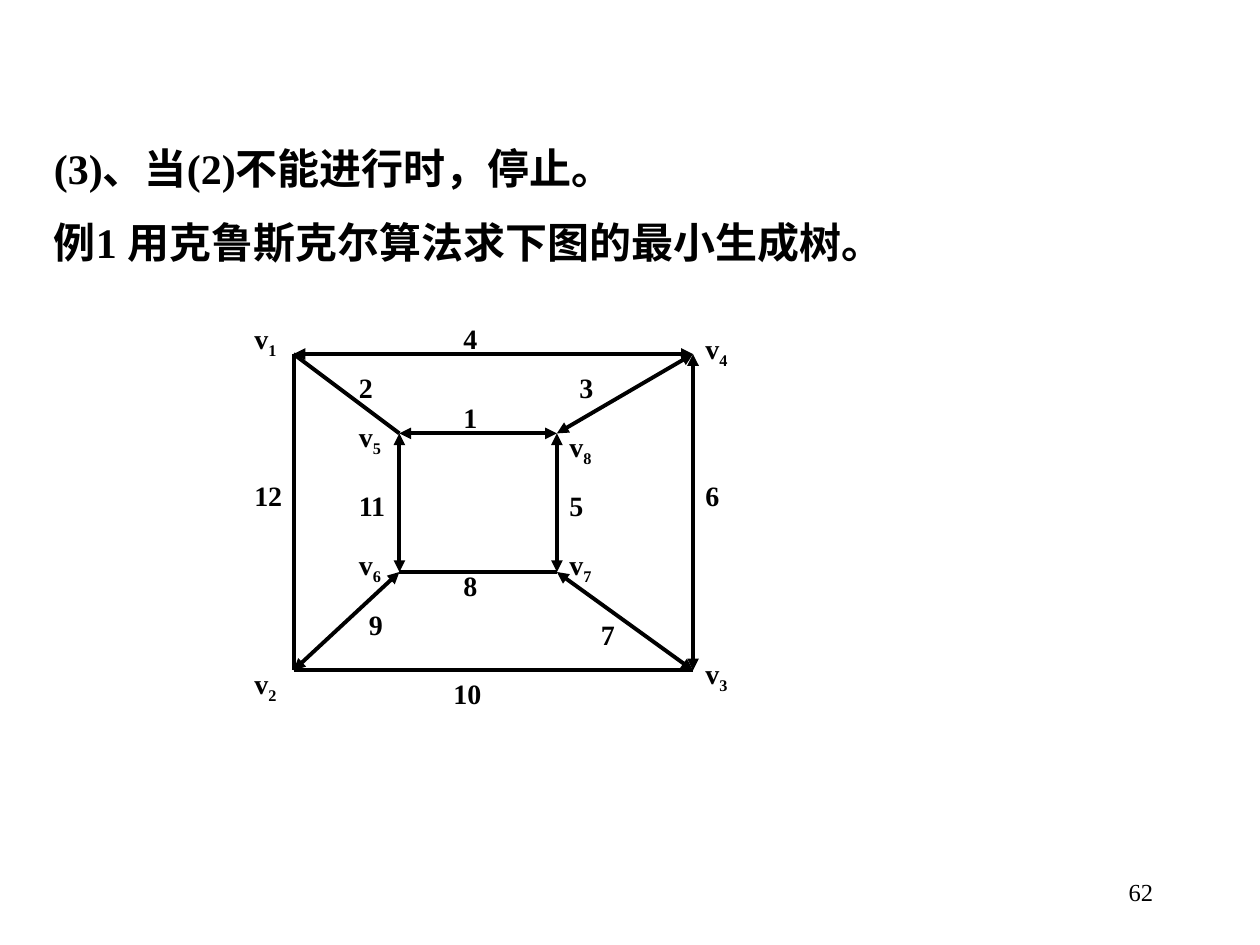
from lxml.etree import SubElement
from pptx import Presentation
from pptx.dml.color import RGBColor
from pptx.enum.shapes import MSO_CONNECTOR
from pptx.enum.text import MSO_ANCHOR, PP_ALIGN
from pptx.oxml.ns import qn
from pptx.util import Inches, Pt

BLACK = "000000"
NODES = {
    1: (0.41, 0.31), 2: (0.41, 2.82), 3: (3.58, 2.82), 4: (3.58, 0.31),
    5: (1.25, 0.94), 6: (1.25, 2.04), 7: (2.5, 2.04), 8: (2.5, 0.94),
}
NODE_LABELS = {
    1: (0, 0), 2: (0, 2.74), 3: (3.58, 2.66), 4: (3.58, 0.08),
    5: (0.83, 0.78), 6: (0.83, 1.8), 7: (2.5, 1.8), 8: (2.5, 0.86),
}
EDGES = [
    (2, 3, 10, (1.58, 2.82), False), (5, 6, 11, (0.83, 1.33), True),
    (6, 7, 8, (1.66, 1.96), False), (5, 8, 1, (1.66, 0.63), True),
    (8, 7, 5, (2.5, 1.33), True), (1, 4, 4, (1.66, 0), True),
    (1, 2, 12, (0, 1.25), False), (4, 3, 6, (3.58, 1.25), True),
    (1, 5, 2, (0.83, 0.39), False), (4, 8, 3, (2.58, 0.39), True),
    (6, 2, 9, (0.91, 2.27), True), (7, 3, 7, (2.75, 2.35), True),
]


def color(value):
    return RGBColor.from_string(value)


def add_text(slide, text, left, top, width, height, size=16, bold=True,
             subscript="", align=PP_ALIGN.LEFT, anchor=MSO_ANCHOR.TOP):
    shape = slide.shapes.add_textbox(
        Inches(left), Inches(top), Inches(width), Inches(height))
    frame = shape.text_frame
    frame.word_wrap = True
    frame.vertical_anchor = anchor
    paragraph = frame.paragraphs[0]
    paragraph.alignment = align
    for part in filter(None, (text, subscript)):
        run = paragraph.add_run()
        run.text = part
        run.font.name = "Times New Roman"
        run.font.size = Pt(size)
        run.font.bold = bold
        run.font.color.rgb = color(BLACK)
    if subscript:
        run.font._element.set("baseline", "-25000")


def add_edge(slide, start, end, arrows):
    connector = slide.shapes.add_connector(
        MSO_CONNECTOR.STRAIGHT, *(Inches(value) for value in (*start, *end)))
    connector.line.color.rgb = color(BLACK)
    connector.line.width = Pt(2.25)
    if arrows:
        line = connector.line._get_or_add_ln()
        for tag in ("a:headEnd", "a:tailEnd"):
            SubElement(line, qn(tag), type="triangle")
    SubElement(connector._element.spPr, qn("a:effectLst"))


def add_statements(slide, left, top, width):
    lines = ["(3)、当(2)不能进行时，停止。", "例1 用克鲁斯克尔算法求下图的最小生成树。"]
    for row, text in enumerate(lines):
        add_text(slide, text, left, top + row * 0.59, width, 0.5, size=24)


def add_graph(slide, left, top):
    def place(point):
        return left + point[0], top + point[1]

    for start, end, weight, label, arrows in EDGES:
        add_edge(slide, place(NODES[start]), place(NODES[end]), arrows)
        add_text(slide, str(weight), *place(label), 0.43, 0.37)
    for number, label in NODE_LABELS.items():
        add_text(slide, "v", *place(label), 0.52, 0.41, subscript=str(number))


def add_page_number(slide, left, top, width, height):
    add_text(slide, "62", left, top, width, height, size=14, bold=False,
             align=PP_ALIGN.RIGHT, anchor=MSO_ANCHOR.MIDDLE)


def main():
    presentation = Presentation()
    presentation.slide_width = Inches(10)
    presentation.slide_height = Inches(7.5)
    slide = presentation.slides.add_slide(presentation.slide_layouts[6])
    add_page_number(slide, 7.17, 6.83, 2.08, 0.5)
    add_statements(slide, 0.33, 1.08, 8.25)
    add_graph(slide, 1.92, 2.5)
    presentation.save("out.pptx")


if __name__ == "__main__":
    main()
